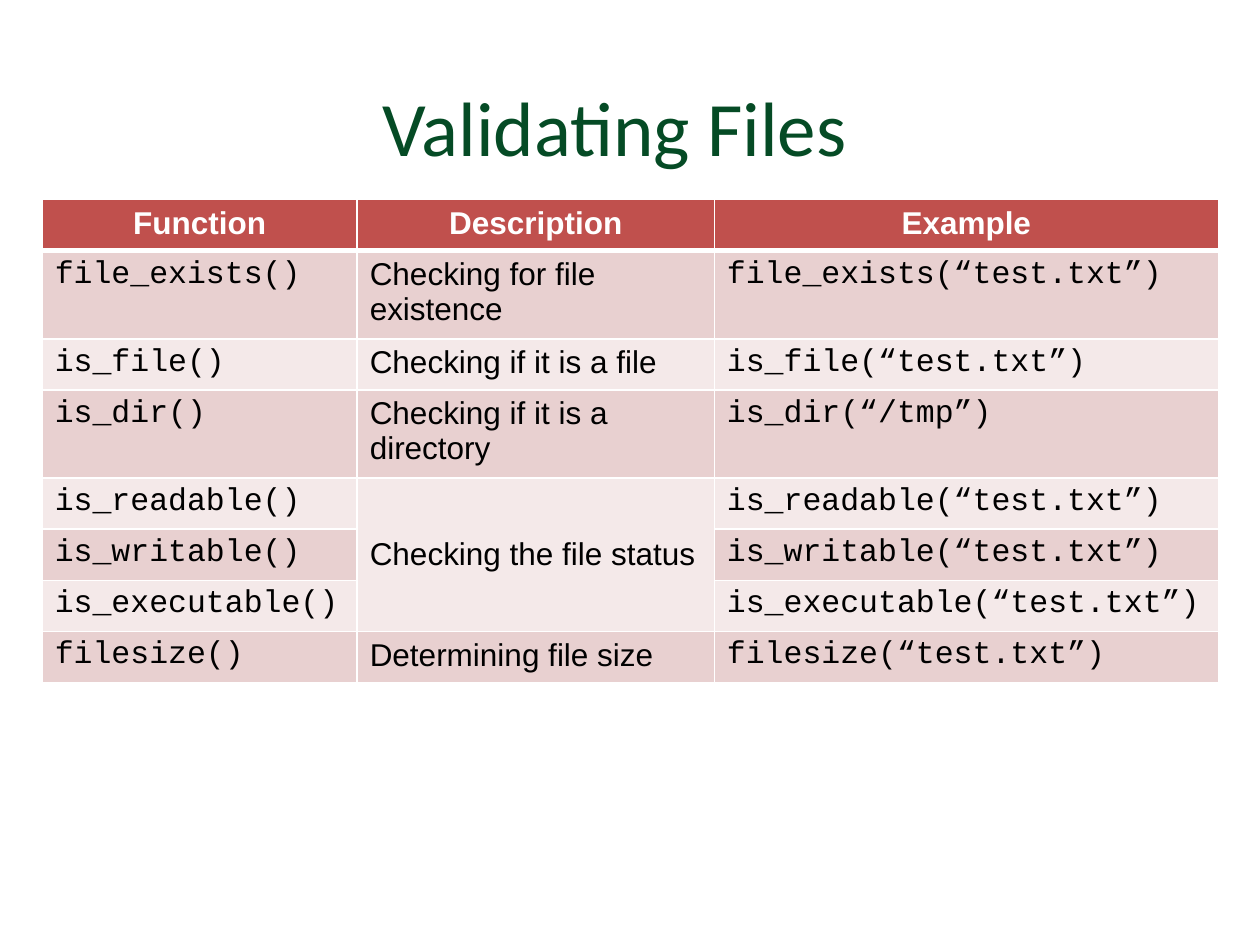
from pptx import Presentation
from pptx.dml.color import RGBColor
from pptx.enum.text import MSO_ANCHOR as Anchor, PP_ALIGN as Align
from pptx.oxml.ns import qn
from pptx.util import Cm, Pt
from lxml.etree import SubElement

GREEN = RGBColor(0x05, 0x4B, 0x25)
RED = RGBColor(0xC0, 0x50, 0x4D)
ROSE = RGBColor(0xE8, 0xD0, 0xD0)
PALE_ROSE = RGBColor(0xF4, 0xE9, 0xE9)
WHITE = RGBColor(0xFF, 0xFF, 0xFF)
BLACK = RGBColor(0, 0, 0)

TITLE_FONT, TEXT_FONT, CODE_FONT = "Calibri", "Arial", "Courier New"

HEADER = ("Function", "Description", "Example")
STATUS = "Checking the file status"
# Function name, description, argument of the example
FUNCTIONS = [
    ("file_exists", "Checking for file existence", "test.txt"),
    ("is_file", "Checking if it is a file", "test.txt"),
    ("is_dir", "Checking if it is a directory", "/tmp"),
    ("is_readable", STATUS, "test.txt"),
    ("is_writable", None, "test.txt"),
    ("is_executable", None, "test.txt"),
    ("filesize", "Determining file size", "test.txt"),
]
COLUMN_WIDTHS = (6.35, 7.2, 10.16)
ROW_HEIGHT = 1.03


class SlideBuilder:
    """Holds the table style and the slide being built."""

    text_size = 18
    thin, thick = 1, 3

    def __init__(self, slide):
        self.slide = slide

    def add_run(self, paragraph, text, font, size, color, bold=False):
        run = paragraph.add_run()
        run.text = text
        run.font.name = font
        run.font.size = Pt(size)
        run.font.bold = bold
        run.font.color.rgb = color

    def title(self, text, left, top, width, height):
        shape = self.slide.shapes.add_textbox(Cm(left), Cm(top), Cm(width), Cm(height))
        frame = shape.text_frame
        frame.word_wrap = True
        frame.vertical_anchor = Anchor.MIDDLE
        paragraph = frame.paragraphs[0]
        paragraph.alignment = Align.CENTER
        self.add_run(paragraph, text, TITLE_FONT, 44, GREEN)

    def borders(self, cell, top, bottom):
        properties = cell._tc.get_or_add_tcPr()
        widths = {"a:lnL": self.thin, "a:lnR": self.thin, "a:lnT": top, "a:lnB": bottom}
        for tag, width in widths.items():
            line = SubElement(properties, qn(tag), w=str(Pt(width)))
            fill = SubElement(line, qn("a:solidFill"))
            SubElement(fill, qn("a:srgbClr"), val=str(WHITE))

    def cell(self, cell, text, font, row):
        is_header = row == 0
        self.borders(
            cell,
            top=self.thick if row == 1 else self.thin,
            bottom=self.thick if is_header else self.thin,
        )
        cell.fill.solid()
        cell.fill.fore_color.rgb = RED if is_header else (PALE_ROSE, ROSE)[row % 2]
        cell.vertical_anchor = Anchor.MIDDLE if cell.is_merge_origin else Anchor.TOP
        paragraph = cell.text_frame.paragraphs[0]
        paragraph.alignment = Align.CENTER if is_header else Align.LEFT
        color = WHITE if is_header else BLACK
        self.add_run(paragraph, text, font, self.text_size, color, is_header)

    def table(self, rows, merge, left, top):
        shape = self.slide.shapes.add_table(
            len(rows), len(COLUMN_WIDTHS), Cm(left), Cm(top),
            Cm(sum(COLUMN_WIDTHS)), Cm(ROW_HEIGHT * len(rows)),
        )
        table = shape.table
        for column, width in zip(table.columns, COLUMN_WIDTHS):
            column.width = Cm(width)
        first, last = merge
        table.cell(*first).merge(table.cell(*last))
        for row, texts in enumerate(rows):
            table.rows[row].height = Cm(ROW_HEIGHT)
            for column, text in enumerate(texts):
                cell = table.cell(row, column)
                if cell.is_spanned:
                    continue
                font = TEXT_FONT if row == 0 or column == 1 else CODE_FONT
                self.cell(cell, text, font, row)


def main():
    presentation = Presentation()
    presentation.slide_width = Cm(25.4)
    presentation.slide_height = Cm(19.05)
    slide = presentation.slides.add_slide(presentation.slide_layouts[6])
    builder = SlideBuilder(slide)

    # Title
    builder.title("Validating Files", 0.64, 1.48, 23.5, 2.12)

    # Table of functions, with one shared description for the status checks
    rows = [HEADER] + [
        (f"{name}()", description, f"{name}(“{argument}”)")
        for name, description, argument in FUNCTIONS
    ]
    builder.table(rows, merge=((4, 1), (6, 1)), left=0.85, top=4.02)

    presentation.save("out.pptx")


if __name__ == "__main__":
    main()
